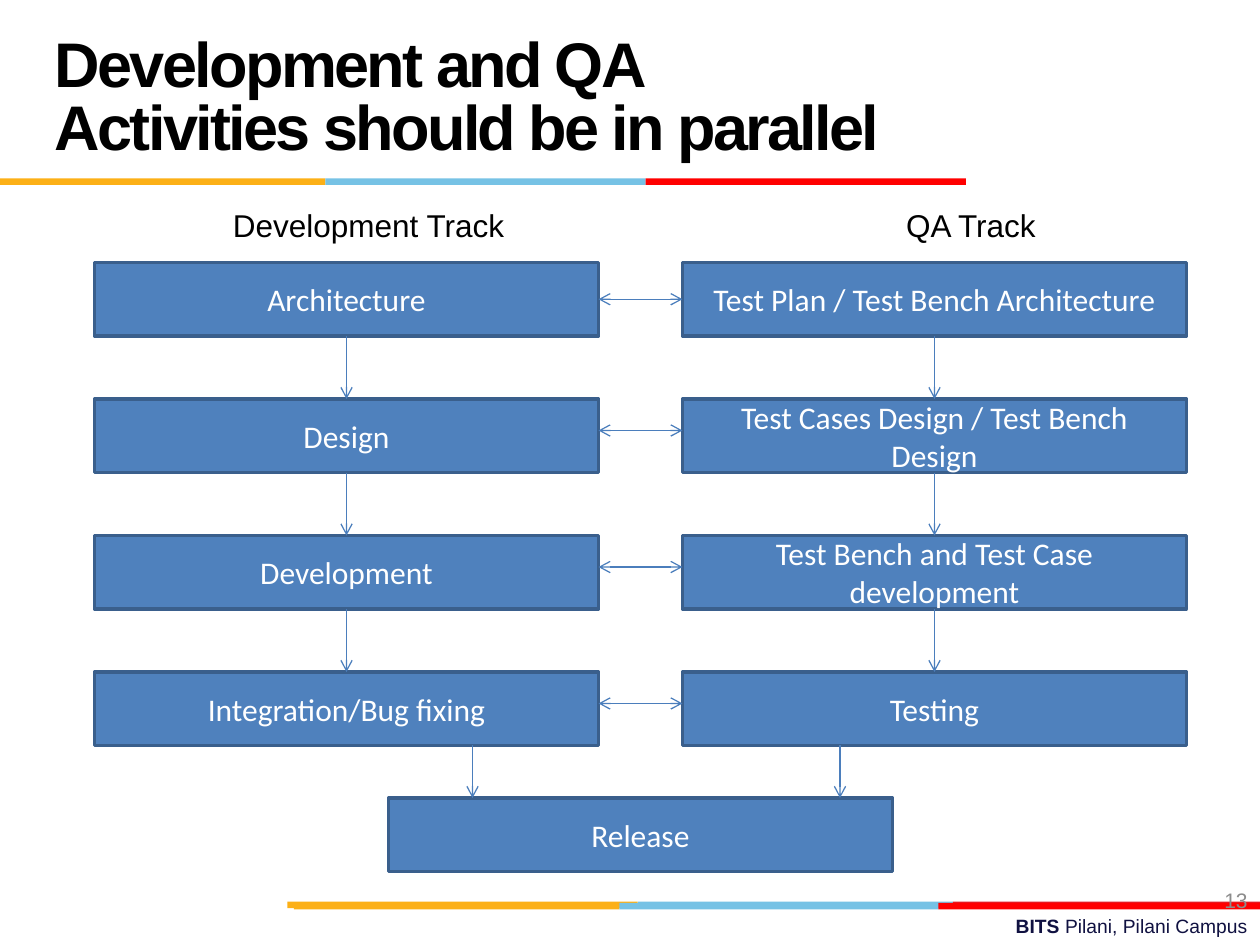
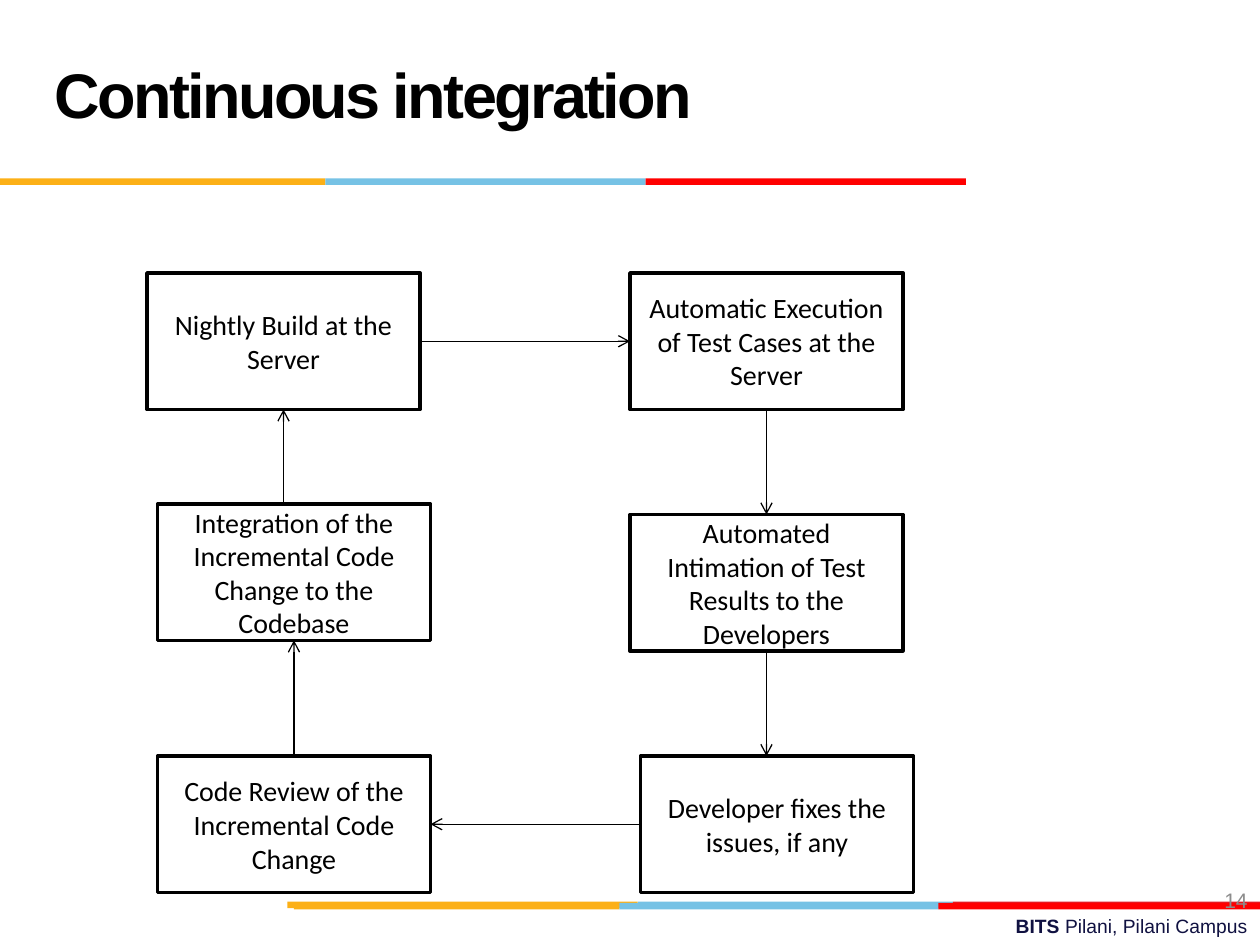
import pptx
import pptx.dml.color
import pptx.enum.shapes
import pptx.enum.text
import pptx.oxml
import pptx.oxml.ns
import pptx.util

EMU_PER_PX = 9525  # 96 px to the inch
COLORS = {
    "black": "000000", "white": "FFFFFF", "navy": "101141", "grey": "8C8C8C",
    "yellow": "FCB017", "sky": "76C2E5", "red": "FF0000", "crimson": "E31C24",
    "box": "4F81BD", "box_edge": "3A5F8C", "arrow": "4B7EBC",
}
ALIGN = pptx.enum.text.PP_ALIGN
MIDDLE = pptx.enum.text.MSO_ANCHOR.MIDDLE
TOP = pptx.enum.text.MSO_ANCHOR.TOP
qn = pptx.oxml.ns.qn


def px(length):
    return pptx.util.Emu(round(length * EMU_PER_PX))


def rgb(name):
    return pptx.dml.color.RGBColor.from_string(COLORS[name])


def write(frame, *parts, size, color="black", font="Arial", bold=False,
          align=ALIGN.LEFT, anchor=TOP, wrap=True, line_pt=None):
    """Fill a frame with one paragraph; a part is a text or a (text, bold) pair."""
    frame.word_wrap = wrap
    frame.vertical_anchor = anchor
    paragraph = frame.paragraphs[0]
    paragraph.alignment = align
    if line_pt:
        paragraph.line_spacing = pptx.util.Pt(line_pt)
    for part in parts:
        text, part_bold = (part, bold) if isinstance(part, str) else part
        run = paragraph.add_run()
        run.text = text
        run.font.name = font
        run.font.size = pptx.util.Pt(size)
        run.font.bold = part_bold
        run.font.color.rgb = rgb(color)


class Deck:
    """Holds the shared style and the slide being built."""

    def __init__(self):
        self.presentation = pptx.Presentation()
        self.presentation.slide_width = px(960)
        self.presentation.slide_height = px(720)
        self.slide = None

    def new_slide(self, title, number):
        layout = self.presentation.slide_layouts[5]
        self.slide = self.presentation.slides.add_slide(layout)
        # Footer line and coloured bands
        self.label((344, 692, 616, 28), ("BITS ", True), "Pilani, Pilani Campus",
                   size=11, color="navy", align=ALIGN.RIGHT)
        self.bands(687, (219, 486, 726, 960), ("yellow", "sky", "crimson"))
        self.bands(688, (224, 472, 715, 960), ("yellow", "sky", "red"))
        self.bands(136, (0, 248, 492, 736), ("yellow", "sky", "red"))
        self.title(title)
        self.label((736, 667, 224, 38), str(number), size=12, color="grey",
                   align=ALIGN.RIGHT, anchor=MIDDLE)

    def title(self, text):
        heading = self.slide.shapes.title
        heading.left, heading.top, heading.width, heading.height = map(
            px, (32, 16, 664, 120))
        write(heading.text_frame, text, size=36, bold=True, anchor=MIDDLE, line_pt=36)
        heading.text_frame.auto_size = pptx.enum.text.MSO_AUTO_SIZE.NONE
        for properties in heading.element.iter(qn("a:rPr")):
            properties.set("spc", "-150")

    def label(self, area, *parts, **style):
        textbox = self.slide.shapes.add_textbox(*map(px, area))
        write(textbox.text_frame, *parts, **style)

    def rectangle(self, area, fill=None, edge=None):
        rectangle = self.slide.shapes.add_shape(
            pptx.enum.shapes.MSO_SHAPE.RECTANGLE, *map(px, area))
        rectangle.shadow.inherit = False
        if fill:
            rectangle.fill.solid()
            rectangle.fill.fore_color.rgb = rgb(fill)
        else:
            rectangle.fill.background()
        if edge:
            rectangle.line.color.rgb = rgb(edge)
            rectangle.line.width = pptx.util.Pt(2)
        else:
            rectangle.line.fill.background()
        return rectangle

    def bands(self, top, edges, colors):
        for left, right, color in zip(edges, edges[1:], colors):
            self.rectangle((left, top, right - left, 5), color)

    def box(self, area, text, size, fill=None, edge="black", color="black"):
        box = self.rectangle(area, fill, edge)
        write(box.text_frame, text, size=size, color=color, font="Calibri",
              align=ALIGN.CENTER, anchor=MIDDLE)

    def arrow(self, start, end, color="black", both_ways=False):
        arrow = self.slide.shapes.add_connector(
            pptx.enum.shapes.MSO_CONNECTOR.STRAIGHT, *map(px, (*start, *end)))
        arrow.line.color.rgb = rgb(color)
        arrow.line.width = pptx.util.Pt(0.75)
        line = arrow.line.fill and arrow.element.spPr.find(qn("a:ln"))
        for tip in ("a:headEnd", "a:tailEnd") if both_ways else ("a:tailEnd",):
            line.append(pptx.oxml.parse_xml(
                f'<{tip} {pptx.oxml.ns.nsdecls("a")} type="arrow"/>'))
        arrow.element.spPr.append(pptx.oxml.parse_xml(
            f'<a:effectLst {pptx.oxml.ns.nsdecls("a")}/>'))


def build_parallel_tracks(deck):
    deck.new_slide("Development and QA Activities should be in parallel", 13)
    width, height, first_top, step = 384, 56, 200, 104
    development_left, qa_left = 72, 520
    stages = [
        ("Architecture", "Test Plan / Test Bench Architecture"),
        ("Design", "Test Cases Design / Test Bench Design"),
        ("Development", "Test Bench and Test Case development"),
        ("Integration/Bug fixing", "Testing"),
    ]
    box_style = {"size": 18, "fill": "box", "edge": "box_edge", "color": "white"}

    # Track headings
    deck.label((168, 152, 228, 38), "Development Track", size=18, wrap=False)
    deck.label((681, 152, 119, 38), "QA Track", size=18, wrap=False)

    # Stages, with arrows down each track and across the tracks
    for row, stage in enumerate(stages):
        top = first_top + row * step
        for left, activity in zip((development_left, qa_left), stage):
            deck.box((left, top, width, height), activity, **box_style)
            if row:
                middle = left + width // 2
                deck.arrow((middle, top - step + height), (middle, top), "arrow")
        link_y = top + (24 if row else 28)
        deck.arrow((development_left + width, link_y), (qa_left, link_y),
                   "arrow", both_ways=True)

    # Both tracks end in the release
    release_top = 608
    deck.box((296, release_top, width, height), "Release", **box_style)
    for x in (360, 640):
        deck.arrow((x, top + height), (x, release_top), "arrow")


def build_integration_cycle(deck):
    deck.new_slide("Continuous integration", 14)
    width, height = 208, 104
    steps = [
        (112, 208, "Nightly Build at the Server"),
        (480, 208, "Automatic Execution of Test Cases at the Server"),
        (480, 392, "Automated Intimation of Test Results to the Developers"),
        (488, 576, "Developer fixes the issues, if any"),
        (120, 576, "Code Review of the Incremental Code Change"),
        (120, 384, "Integration of the Incremental Code Change to the Codebase"),
    ]
    for left, top, text in steps:
        deck.box((left, top, width, height), text, size=16)

    # Arrows around the cycle
    arrows = [
        ((320, 260), (480, 260)),
        ((584, 312), (584, 392)),
        ((584, 496), (584, 576)),
        ((488, 628), (328, 628)),
        ((224, 576), (224, 488)),
        ((216, 384), (216, 312)),
    ]
    for start, end in arrows:
        deck.arrow(start, end)


def main():
    deck = Deck()
    build_parallel_tracks(deck)
    build_integration_cycle(deck)
    deck.presentation.save("out.pptx")


if __name__ == "__main__":
    main()
